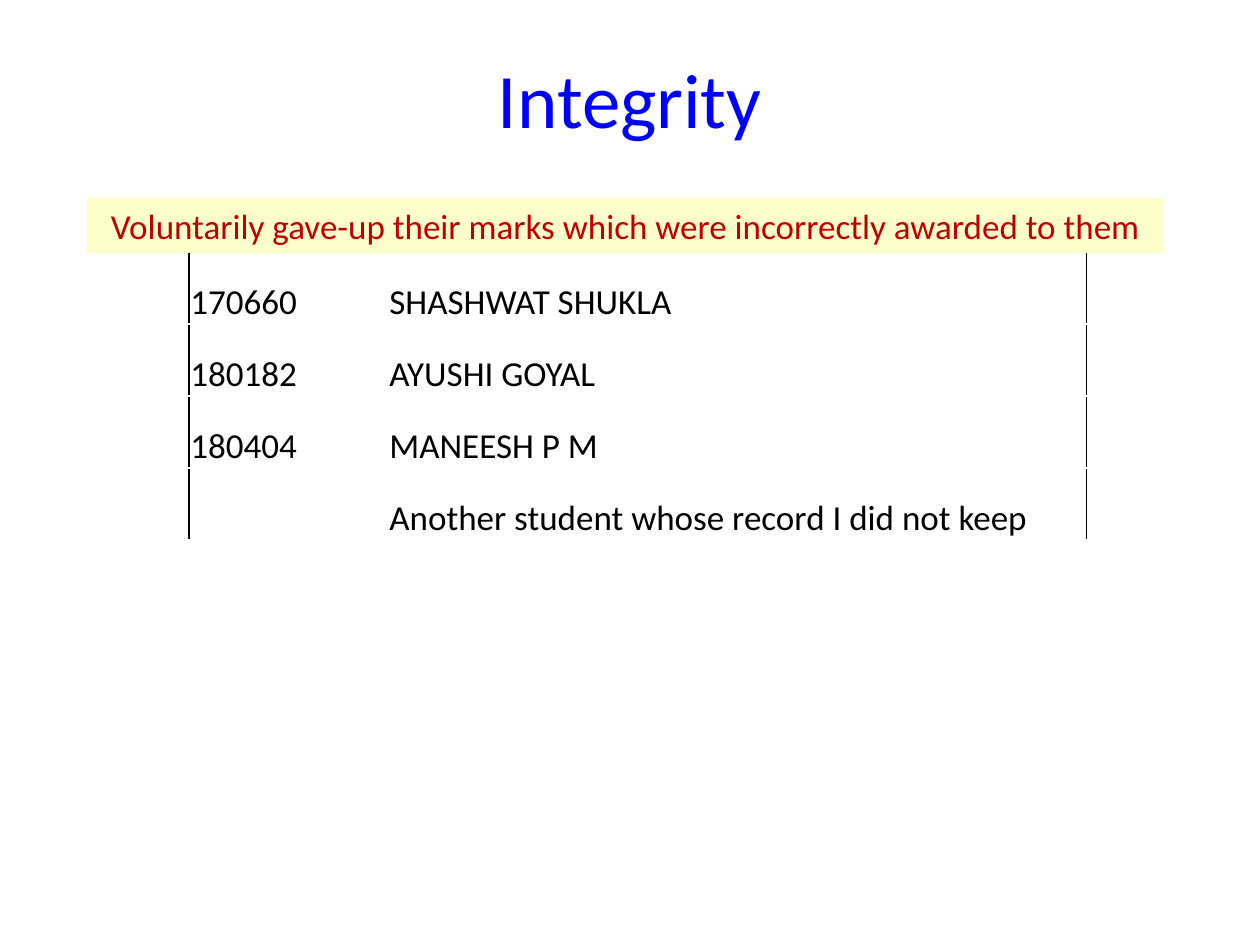
from lxml import etree
from pptx import Presentation
from pptx.dml.color import RGBColor as Rgb
from pptx.enum.shapes import MSO_SHAPE as Shape
from pptx.enum.text import MSO_ANCHOR as Anchor, PP_ALIGN as Align
from pptx.oxml.ns import qn
from pptx.util import Cm, Pt

COLORS = {"title": "0000FF", "banner": "FFFFCC", "notice": "C00000",
          "ink": "000000", "paper": "FFFFFF"}
TITLE = "Integrity"
NOTICE = "Voluntarily gave-up their marks which were incorrectly awarded to them"
STUDENTS = [
    ("170660", "SHASHWAT SHUKLA"),
    ("180182", "AYUSHI GOYAL"),
    ("180404", "MANEESH P M"),
    ("", "Another student whose record I did not keep"),
]
COLUMN_WIDTHS = (4.01, 14.08)
ROW_HEIGHT = 1.45


def write(frame, text, size=20, color="ink", align=Align.LEFT, spacing=1.0):
    frame.word_wrap = True
    paragraph = frame.paragraphs[0]
    paragraph.alignment = align
    paragraph.line_spacing = spacing
    run = paragraph.add_run()
    run.text = text
    run.font.name = "Calibri"
    run.font.size = Pt(size)
    run.font.color.rgb = Rgb.from_string(COLORS[color])


def set_borders(cell, sides):
    properties = cell._tc.get_or_add_tcPr()
    for position, (side, color) in enumerate(sides.items()):
        line = etree.Element(qn(f"a:ln{side}"), w=str(Pt(1)))
        fill = etree.SubElement(line, qn("a:solidFill"))
        etree.SubElement(fill, qn("a:srgbClr"), val=COLORS[color])
        properties.insert(position, line)


deck = Presentation()
deck.slide_width, deck.slide_height = Cm(25.4), Cm(19.05)
slide = deck.slides.add_slide(deck.slide_layouts[6])

heading = slide.shapes.add_textbox(Cm(1.75), Cm(1.02), Cm(21.9), Cm(2.13))
heading.text_frame.vertical_anchor = Anchor.MIDDLE
write(heading.text_frame, TITLE, size=44, color="title", align=Align.CENTER, spacing=0.9)

roster = slide.shapes.add_table(
    len(STUDENTS), len(COLUMN_WIDTHS), Cm(3.81), Cm(5.08),
    Cm(sum(COLUMN_WIDTHS)), Cm(ROW_HEIGHT * len(STUDENTS))).table
roster.first_row = roster.horz_banding = False
for column, width in zip(roster.columns, COLUMN_WIDTHS):
    column.width = Cm(width)
for r, student in enumerate(STUDENTS):
    roster.rows[r].height = Cm(ROW_HEIGHT)
    for c, entry in enumerate(student):
        cell = roster.cell(r, c)
        cell.fill.background()
        cell.vertical_anchor = Anchor.BOTTOM
        cell.margin_left = cell.margin_right = cell.margin_top = Cm(0.03)
        cell.margin_bottom = 0
        write(cell.text_frame, entry)
        set_borders(cell, {
            "L": "ink" if c == 0 else "paper",
            "R": "ink" if c == len(student) - 1 else "paper",
            "T": "ink" if r == 0 else "paper",
            "B": "paper",
        })

banner = slide.shapes.add_shape(Shape.RECTANGLE, Cm(1.75), Cm(3.99), Cm(21.72), Cm(1.11))
banner.shadow.inherit = False
banner.fill.solid()
banner.fill.fore_color.rgb = Rgb.from_string(COLORS["banner"])
banner.line.fill.background()
write(banner.text_frame, NOTICE, color="notice", align=Align.CENTER)

deck.save("out.pptx")
